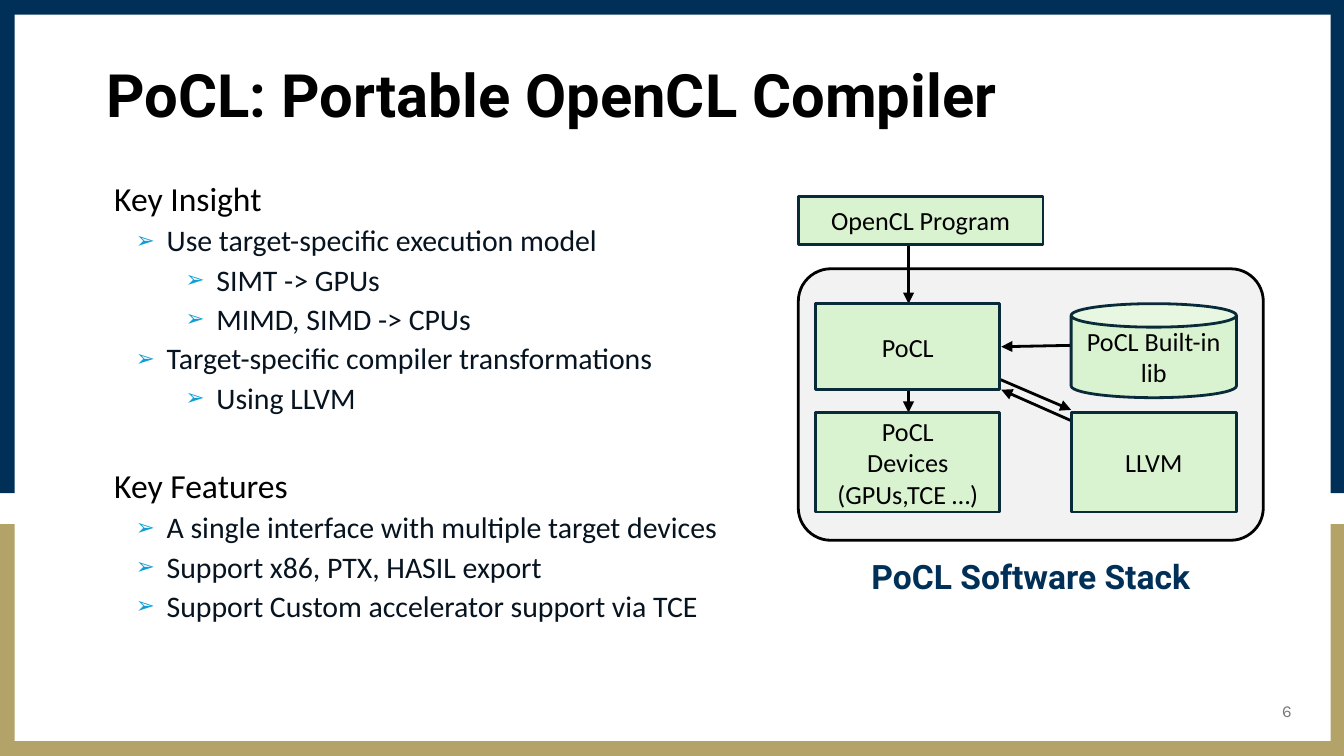
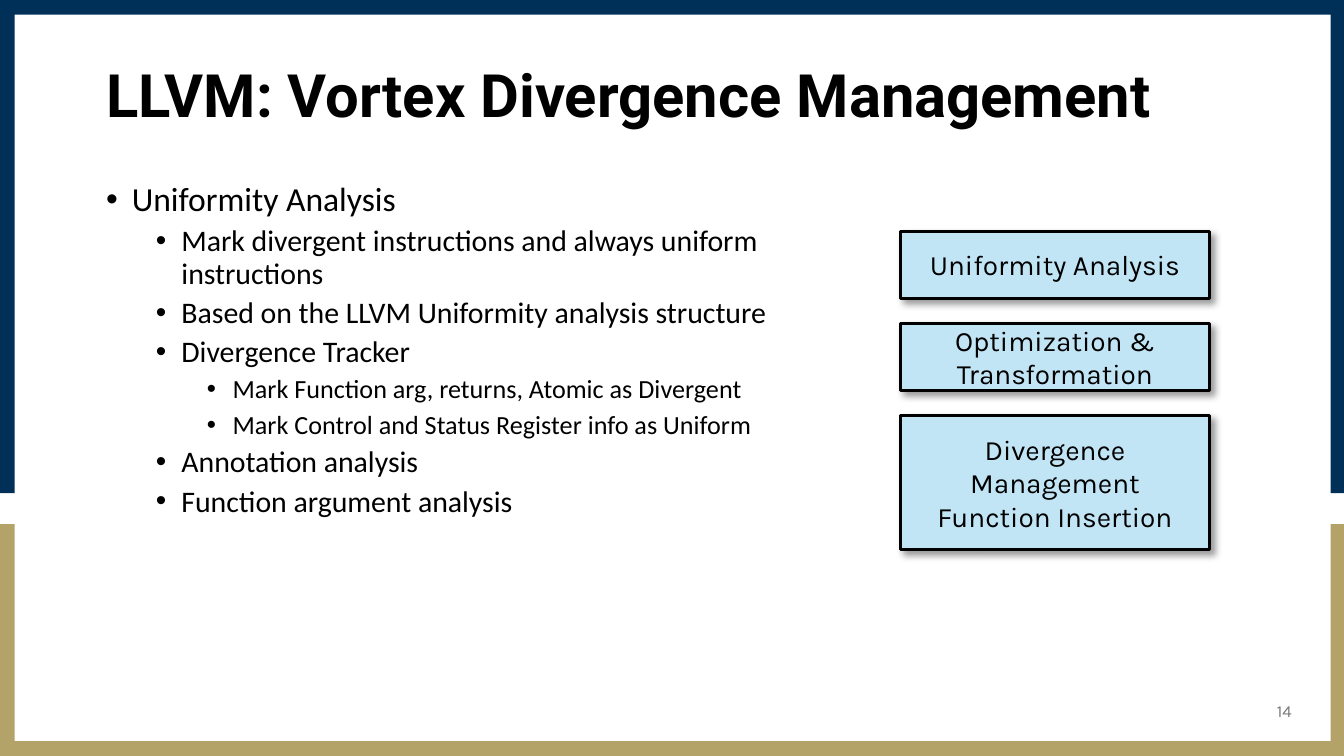
from lxml.etree import SubElement as Sub
from pptx import Presentation
from pptx.dml.color import RGBColor as RGB
from pptx.enum.shapes import MSO_CONNECTOR as LINK, MSO_SHAPE as SHAPE
from pptx.enum.text import MSO_ANCHOR as ANCHOR, MSO_AUTO_SIZE as FIT, PP_ALIGN as ALIGN
from pptx.oxml.ns import qn
from pptx.util import Inches, Pt

CELL = Inches(0.1)
COLS, ROWS = 100, 56.25
EDGE = 1.1

NAVY = RGB(0x00, 0x30, 0x57)
GOLD = RGB(0xB3, 0xA3, 0x69)
BLACK = RGB(0, 0, 0)
INK = RGB(0x07, 0x14, 0x20)
GREY = RGB(0x79, 0x79, 0x79)
PALE = RGB(0xF2, 0xF2, 0xF2)
GREEN = RGB(0xD9, 0xF2, 0xD0)
PINE = RGB(0x09, 0x2A, 0x39)
SKY = RGB(0xC1, 0xE5, 0xF5)

HEAD, BODY, NOTE = "Roboto", "Calibri", "Karla"

# A list style: mark, mark colour, mark size in percent,
# then left, hang (inches), size and colour for each level.
ARROWS = ("➢", "0F9ED5", 76,
          [(0.06, 0, 18, BLACK), (0.45, 0.23, 16, INK), (0.82, 0.23, 16, INK)])
DOTS = ("•", None, None,
        [(0.19, 0.19, 18, BLACK), (0.56, 0.19, 16, BLACK), (0.94, 0.19, 14, BLACK)])

POCL = [
    (0, "Key Insight"),
    (1, "Use target-specific execution model"),
    (2, "SIMT -> GPUs"),
    (2, "MIMD, SIMD -> CPUs"),
    (1, "Target-specific compiler transformations"),
    (2, "Using LLVM"),
    (0, "Key Features"),
    (1, "A single interface with multiple target devices"),
    (1, "Support x86, PTX, HASIL export"),
    (1, "Support Custom accelerator support via TCE"),
]
VORTEX = [
    (0, "Uniformity Analysis"),
    (1, "Mark divergent instructions and always uniform instructions"),
    (1, "Based on the LLVM Uniformity analysis structure"),
    (1, "Divergence Tracker"),
    (2, "Mark Function arg, returns, Atomic as Divergent"),
    (2, "Mark Control and Status Register info as Uniform"),
    (1, "Annotation analysis"),
    (1, "Function argument analysis"),
]


def grid(*cells):
    """Turn grid cells into slide lengths."""
    return [round(c * CELL) for c in cells]


def place(shape, *cells):
    shape.left, shape.top, shape.width, shape.height = grid(*cells)


def style(para, name, size, color, bold=False):
    for run in para.runs:
        font = run.font
        font.name, font.size, font.bold = name, Pt(size), bold
        font.color.rgb = color


def write(frame, text, name, size, color, align, bold=False):
    frame.word_wrap = True
    frame.text = text
    for para in frame.paragraphs:
        para.alignment = align
        style(para, name, size, color, bold)


def box(slide, kind, cells, fill, line=None, text="", name=BODY, size=14):
    shape = slide.shapes.add_shape(kind, *grid(*cells))
    shape.shadow.inherit = False
    shape.fill.solid()
    shape.fill.fore_color.rgb = fill
    if line is None:
        shape.line.fill.background()
    else:
        shape.line.color.rgb = line
        shape.line.width = Pt(1.5)
    if text:
        write(shape.text_frame, text, name, size, BLACK, ALIGN.CENTER)
    return shape


def label(slide, cells, text, *look, anchor=ANCHOR.TOP, bold=False):
    frame = slide.shapes.add_textbox(*grid(*cells)).text_frame
    write(frame, text, *look, bold=bold)
    frame.vertical_anchor = anchor
    return frame


def arrow(slide, *ends):
    link = slide.shapes.add_connector(LINK.STRAIGHT, *grid(*ends))
    link.line.color.rgb = BLACK
    link.line.width = Pt(1.5)
    props = link.element.spPr
    Sub(props.find(qn("a:ln")), qn("a:tailEnd"), type="triangle")
    Sub(props, qn("a:effectLst"))


def shade(shape):
    """Cast a soft shadow to the lower right."""
    effects = shape.element.spPr.find(qn("a:effectLst"))
    cast = Sub(effects, qn("a:outerShdw"), blurRad=str(Pt(4)), dist=str(Pt(3)),
               dir=str(45 * 60000), algn="tl", rotWithShape="0")
    tint = Sub(cast, qn("a:srgbClr"), val="000000")
    Sub(tint, qn("a:alpha"), val="40000")


def bullet(para, left, hang, mark, color, size):
    props = para._p.get_or_add_pPr()
    props.set("marL", str(Inches(left)))
    props.set("indent", str(-Inches(hang)))
    if not hang:
        Sub(props, qn("a:buNone"))
        return
    if color:
        Sub(Sub(props, qn("a:buClr")), qn("a:srgbClr"), val=color)
        Sub(props, qn("a:buSzPct"), val=str(size * 1000))
    Sub(props, qn("a:buChar"), char=mark)


def outline(shape, items, look):
    """Fill the body with a list of levels; a later heading opens a gap."""
    *mark, levels = look
    frame = shape.text_frame
    frame.auto_size = FIT.NONE
    frame.text = "\n".join(text for _, text in items)
    for i, (para, (level, _)) in enumerate(zip(frame.paragraphs, items)):
        left, hang, size, color = levels[level]
        para.level = level
        bullet(para, left, hang, *mark)
        para.line_spacing = 0.9
        gap = 3.8 if level else 29
        para.space_before = Pt(gap if i else 0)
        style(para, BODY, size, color)


def border(deck, slide):
    """Draw the frame once and hand it to the master."""
    low = 39
    bands = [(x, y, EDGE, h, color)
             for x in (0, COLS - EDGE + 0.1)
             for y, h, color in ((0, 36.7, NAVY), (low, ROWS - low, GOLD))]
    bands += [(0, 0, COLS, EDGE, NAVY), (0, ROWS - EDGE, COLS, EDGE, GOLD)]
    tree = deck.slide_master.shapes.element
    for i, (*cells, color) in enumerate(bands):
        band = box(slide, SHAPE.RECTANGLE, cells, color).element
        band.nvSpPr.cNvPr.id = 20 + i
        tree.append(band)


def page(deck, title, number, items, look, wide):
    slide = deck.slides.add_slide(deck.slide_layouts[1])
    head, body = slide.placeholders
    place(head, 6.9, 3, 90.2, 8.6)
    head.text_frame.auto_size = FIT.NONE
    head.text_frame.vertical_anchor = ANCHOR.MIDDLE
    write(head.text_frame, title, HEAD, 32, BLACK, ALIGN.LEFT, True)
    head.text_frame.paragraphs[0].line_spacing = 0.9
    place(body, 6.9, 13.1, wide, 40)
    outline(body, items, look)
    label(slide, (74.6, 51.4, 22.5, 3), number, NOTE, 9, GREY, ALIGN.RIGHT,
          anchor=ANCHOR.MIDDLE)
    return slide


def stack(slide):
    """Draw the software stack: two columns inside a panel."""
    x, y, wide = 59.4, 20, 34.6
    left, right = (60.7, 13.7), (79.7, 12.3)
    top, low, tall = 22.6, 30.7, 7.4
    mid, side = 67.6, 74.5
    panel = box(slide, SHAPE.ROUNDED_RECTANGLE, (x, y, wide, 20.2), PALE, BLACK)
    panel.adjustments[0] = 0.12
    for ends in ((mid, 18.2, mid, top), (mid, 29, mid, low),
                 (right[0], 25.7, side, 25.8),
                 (right[0], 31.3, side, 29), (74.1, 28.1, right[0], 30.5)):
        arrow(slide, *ends)
    rect = SHAPE.RECTANGLE
    for kind, (col, w), row, h, text in (
            (rect, (x, 18.2), 14.6, 3.6, "OpenCL Program"),
            (rect, left, top, 6.4, "PoCL"),
            (rect, left, low, tall, "PoCL\vDevices\n(GPUs,TCE …)"),
            (SHAPE.CAN, right, top, 7, "PoCL Built-in lib"),
            (rect, right, low, tall, "LLVM")):
        box(slide, kind, (col, row, w, h), GREEN, PINE, text)
    frame = label(slide, (x, 41.3, wide, 6), "PoCL Software Stack",
                  HEAD, 18, NAVY, ALIGN.CENTER, bold=True)
    frame.margin_left = frame.margin_right = Inches(0.07)
    frame.margin_top = frame.margin_bottom = Inches(0.04)
    frame.paragraphs[0].line_spacing = 0.9


def steps(slide):
    """Draw the passes one below the other, with equal gaps."""
    y = 17.2
    for text, tall in (("Uniformity Analysis", 5),
                       ("Optimization & Transformation", 5),
                       ("Divergence Management Function Insertion", 10)):
        shade(box(slide, SHAPE.RECTANGLE, (67, y, 23, tall), SKY, BLACK,
                  text, NOTE, 15))
        y += tall + 1.85


def main():
    deck = Presentation()
    deck.slide_width, deck.slide_height = grid(COLS, ROWS)
    slide = page(deck, "PoCL: Portable OpenCL Compiler", "6", POCL, ARROWS, 54.9)
    border(deck, slide)
    stack(slide)
    slide = page(deck, "LLVM: Vortex Divergence Management", "14", VORTEX, DOTS, 58.4)
    steps(slide)
    deck.save("out.pptx")


if __name__ == "__main__":
    main()
